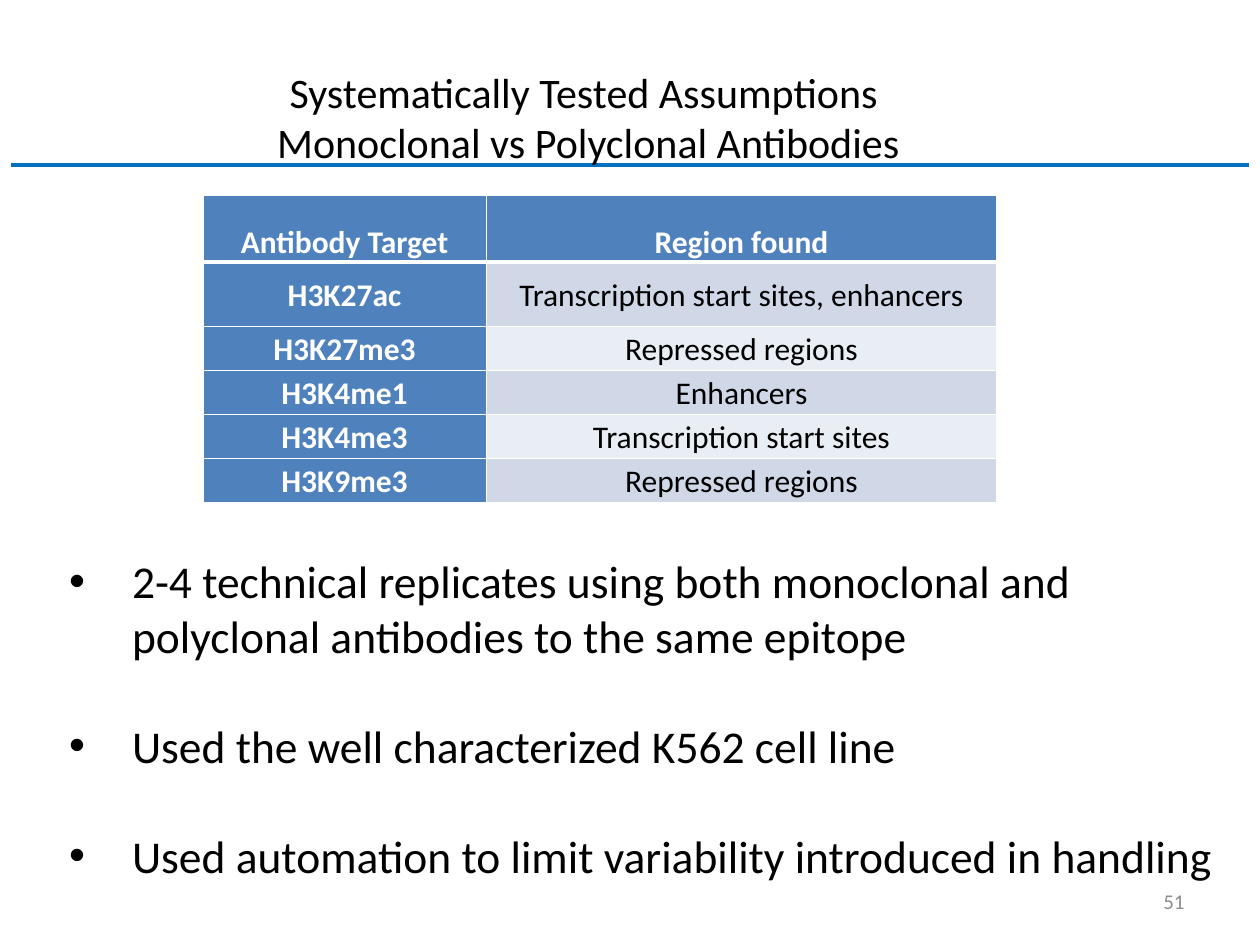
from dataclasses import dataclass

from lxml import etree
from pptx import Presentation
from pptx.dml.color import RGBColor
from pptx.enum.shapes import MSO_CONNECTOR
from pptx.enum.text import MSO_ANCHOR, PP_ALIGN
from pptx.oxml.ns import qn
from pptx.util import Inches, Pt

LEFT, CENTER, RIGHT = PP_ALIGN.LEFT, PP_ALIGN.CENTER, PP_ALIGN.RIGHT
TOP, MIDDLE, BOTTOM = MSO_ANCHOR.TOP, MSO_ANCHOR.MIDDLE, MSO_ANCHOR.BOTTOM
STRAIGHT = MSO_CONNECTOR.STRAIGHT

FONT = "Calibri"
COLORS = {
    "text": "000000",
    "white": "FFFFFF",
    "rule": "0070C0",
    "number": "8C8C8C",
    "header": "4F81BD",
    "dark_band": "D0D8E8",
    "light_band": "E9EDF4",
}
COLUMN_WIDTHS = (2.25, 4.05)
ROW_HEIGHTS = (0.53, 0.51, 0.35, 0.35, 0.35, 0.35)
BULLETS = (
    "2-4 technical replicates using both monoclonal and polyclonal antibodies to the same epitope",
    "Used the well characterized K562 cell line",
    "Used automation to limit variability introduced in handling",
)


@dataclass(frozen=True)
class Antibody:
    target: str
    region: str


@dataclass(frozen=True)
class TextBlock:
    left: float
    top: float
    width: float
    height: float
    paragraphs: tuple[str, ...]
    size: int
    color: str = "text"
    align: PP_ALIGN = LEFT
    anchor: MSO_ANCHOR = MIDDLE
    bulleted: bool = False
    gap: float = 0


ANTIBODIES = (
    Antibody("H3K27ac", "Transcription start sites, enhancers"),
    Antibody("H3K27me3", "Repressed regions"),
    Antibody("H3K4me1", "Enhancers"),
    Antibody("H3K4me3", "Transcription start sites"),
    Antibody("H3K9me3", "Repressed regions"),
)
TEXT_BLOCKS = (
    TextBlock(0.5, 0.3, 8.34, 1.25,
              ("Systematically Tested Assumptions \vMonoclonal vs Polyclonal Antibodies",),
              24, align=CENTER),
    TextBlock(7.17, 6.95, 2.33, 0.4, ("51",), 12, "number", RIGHT),
    TextBlock(0.45, 4.34, 9.37, 2.73, BULLETS, 26, anchor=TOP, bulleted=True, gap=31.7),
)


def rgb(name: str) -> RGBColor:
    return RGBColor.from_string(COLORS[name])


def style_font(paragraph, size: int, color: str, bold: bool = False) -> None:
    font = paragraph.font
    font.name = FONT
    font.size = Pt(size)
    font.bold = bold
    font.color.rgb = rgb(color)


def add_bullet(paragraph) -> None:
    properties = paragraph._p.get_or_add_pPr()
    properties.set("marL", str(Inches(0.5)))
    properties.set("indent", str(Inches(-0.5)))
    etree.SubElement(properties, qn("a:buFont"), typeface="Arial")
    etree.SubElement(properties, qn("a:buChar"), char="•")


def add_text(slide, block: TextBlock) -> None:
    shape = slide.shapes.add_textbox(
        Inches(block.left), Inches(block.top), Inches(block.width), Inches(block.height))
    frame = shape.text_frame
    frame.word_wrap = True
    frame.vertical_anchor = block.anchor
    for index, text in enumerate(block.paragraphs):
        paragraph = frame.add_paragraph() if index else frame.paragraphs[0]
        paragraph.text = text
        paragraph.alignment = block.align
        if index:
            paragraph.space_before = Pt(block.gap)
        if block.bulleted:
            add_bullet(paragraph)
        style_font(paragraph, block.size, block.color)


def add_rule(slide) -> None:
    rule = slide.shapes.add_connector(
        STRAIGHT, Inches(0.09), Inches(1.31), Inches(9.91), Inches(1.31))
    rule.line.color.rgb = rgb("rule")
    rule.line.width = Pt(2)
    etree.SubElement(rule._element.spPr, qn("a:effectLst"))


def set_borders(cell, top: int, bottom: int) -> None:
    properties = cell._tc.get_or_add_tcPr()
    for side, width in (("L", 1), ("R", 1), ("T", top), ("B", bottom)):
        line = etree.SubElement(properties, qn(f"a:ln{side}"), w=str(Pt(width)))
        fill = etree.SubElement(line, qn("a:solidFill"))
        etree.SubElement(fill, qn("a:srgbClr"), val=COLORS["white"])


def fill_cell(cell, text: str, row: int, column: int) -> None:
    heading = row == 0 or column == 0
    band = "dark_band" if row % 2 else "light_band"
    set_borders(cell, top=3 if row == 1 else 1, bottom=3 if row == 0 else 1)
    cell.fill.solid()
    cell.fill.fore_color.rgb = rgb("header" if heading else band)
    cell.margin_left = cell.margin_right = Inches(0.07)
    cell.margin_top = cell.margin_bottom = 0
    cell.vertical_anchor = MIDDLE if row else BOTTOM
    paragraph = cell.text_frame.paragraphs[0]
    paragraph.text = text
    paragraph.alignment = CENTER
    paragraph.line_spacing = 1.07
    style_font(paragraph, 18, "white" if heading else "text", heading)


def add_antibody_table(slide) -> None:
    rows = [("Antibody Target", "Region found")]
    rows += [(antibody.target, antibody.region) for antibody in ANTIBODIES]
    table = slide.shapes.add_table(
        len(rows), len(COLUMN_WIDTHS), Inches(1.61), Inches(1.55),
        Inches(sum(COLUMN_WIDTHS)), Inches(sum(ROW_HEIGHTS))).table
    table.first_col = True
    for column, width in zip(table.columns, COLUMN_WIDTHS):
        column.width = Inches(width)
    for row, height in zip(table.rows, ROW_HEIGHTS):
        row.height = Inches(height)
    for row_index, texts in enumerate(rows):
        for column_index, text in enumerate(texts):
            fill_cell(table.cell(row_index, column_index), text, row_index, column_index)


def main() -> None:
    presentation = Presentation()
    presentation.slide_width = Inches(10)
    presentation.slide_height = Inches(7.5)
    slide = presentation.slides.add_slide(presentation.slide_layouts[6])
    add_rule(slide)
    add_antibody_table(slide)
    for block in TEXT_BLOCKS:
        add_text(slide, block)
    presentation.save("out.pptx")


if __name__ == "__main__":
    main()
